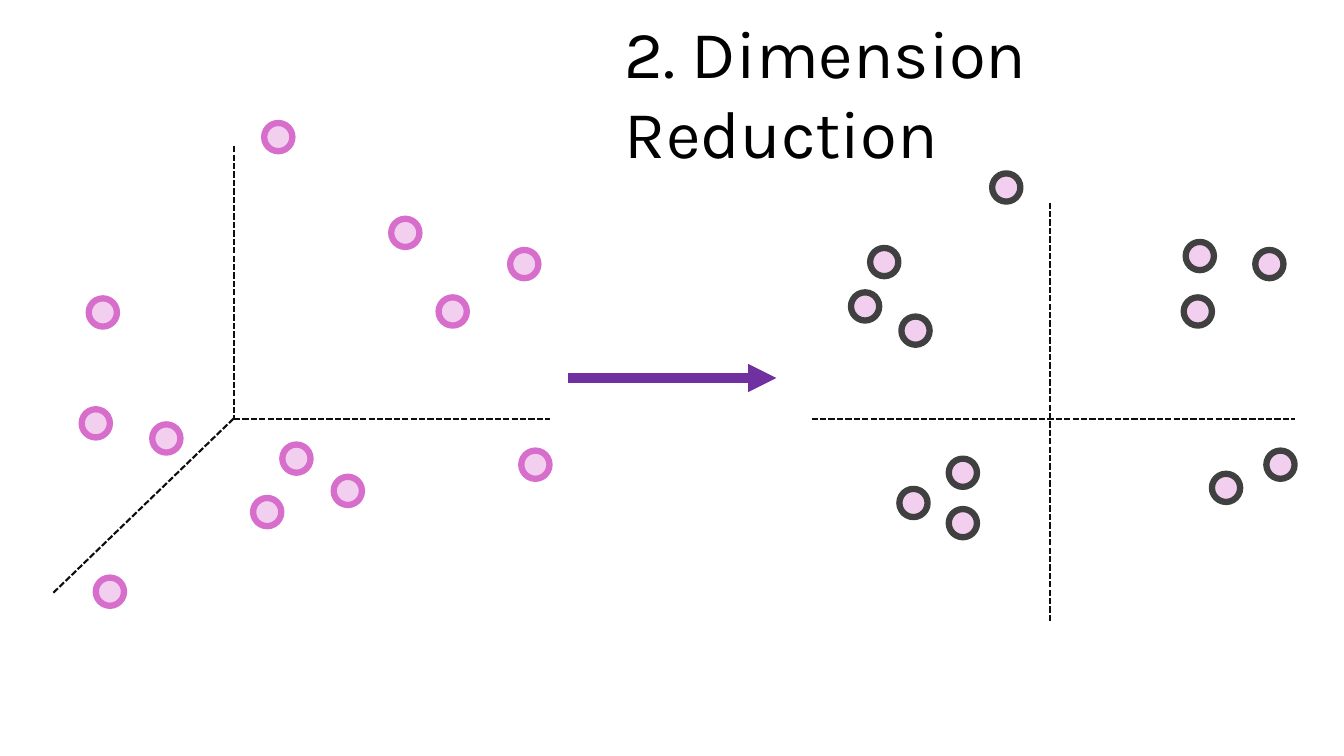
from lxml import etree
from pptx import Presentation
from pptx.dml.color import RGBColor
from pptx.enum.dml import MSO_LINE
from pptx.enum.shapes import MSO_CONNECTOR, MSO_SHAPE
from pptx.enum.text import MSO_AUTO_SIZE
from pptx.oxml.ns import qn
from pptx.util import Inches, Pt

LINE = MSO_CONNECTOR.STRAIGHT
OVAL = MSO_SHAPE.OVAL
DASH = MSO_LINE.SQUARE_DOT
GROW = MSO_AUTO_SIZE.SHAPE_TO_FIT_TEXT

BLACK = RGBColor(0x00, 0x00, 0x00)
INK = RGBColor(0x0D, 0x0D, 0x0D)
GRAY = RGBColor(0x40, 0x40, 0x40)
PINK = RGBColor(0xF2, 0xCF, 0xEE)
ROSE = RGBColor(0xD8, 0x6E, 0xCC)
PURPLE = RGBColor(0x70, 0x30, 0xA0)

CELL = Inches(0.1)
DOT = 2.8

SPACE_AXES = [
    ((23.2, 14.5), (23.2, 41.6)),
    ((23.2, 41.6), (54.5, 41.6)),
    ((5.3, 58.8), (23.3, 41.4)),
]
SPACE_DOTS = [
    (40.2, 23.1), (44.9, 30.9), (52, 26.2),
    (10.2, 31), (9.5, 42), (16.5, 43.5),
    (26.5, 50.8), (29.4, 45.5), (34.5, 48.7),
    (27.6, 13.6), (53.1, 46.1), (10.9, 58.7),
]
PLANE_AXES = [
    ((80.5, 41.6), (128.4, 41.6)),
    ((104.1, 20.1), (104.1, 61.6)),
]
PLANE_DOTS = [
    (119, 25.4), (118.8, 30.9), (125.9, 26.2),
    (87.7, 26), (85.8, 30.4), (90.8, 32.8),
    (95.5, 51.9), (95.5, 46.9), (121.6, 48.4),
    (99.8, 18.6), (127, 46.1), (90.6, 49.9),
]


def grid(*cells):
    return [round(n * CELL) for n in cells]


def add_line(shapes, start, end, color, width):
    line = shapes.add_connector(LINE, *grid(*start, *end))
    line.line.color.rgb = color
    line.line.width = Pt(width)
    etree.SubElement(line._element.spPr, qn("a:effectLst"))
    return line


def add_arrow(shapes, start, end):
    arrow = add_line(shapes, start, end, PURPLE, 6.75)
    tail = etree.SubElement(arrow.line._get_or_add_ln(), qn("a:tailEnd"))
    tail.set("type", "triangle")


def add_dot(shapes, x, y, color):
    dot = shapes.add_shape(OVAL, *grid(x - DOT / 2, y - DOT / 2, DOT, DOT))
    dot.shadow.inherit = False
    dot.fill.solid()
    dot.fill.fore_color.rgb = PINK
    dot.line.color.rgb = color
    dot.line.width = Pt(4.5)


def add_plot(shapes, axes, dots, color):
    plot = shapes.add_group_shape().shapes
    for start, end in axes:
        add_line(plot, start, end, INK, 1.5).line.dash_style = DASH
    for x, y in dots:
        add_dot(plot, x, y, color)


def add_title(shapes, text, *place):
    frame = shapes.add_textbox(*grid(*place)).text_frame
    frame.word_wrap = True
    frame.auto_size = GROW
    frame.text = text
    font = frame.paragraphs[0].runs[0].font
    font.name = "Karla"
    font.size = Pt(48)
    font.color.rgb = BLACK


def main():
    deck = Presentation()
    deck.slide_width = Inches(13.33)
    deck.slide_height = Inches(7.5)
    shapes = deck.slides.add_slide(deck.slide_layouts[6]).shapes
    add_arrow(shapes, (56.3, 37.5), (77, 37.5))
    add_plot(shapes, SPACE_AXES, SPACE_DOTS, ROSE)
    add_plot(shapes, PLANE_AXES, PLANE_DOTS, GRAY)
    add_title(shapes, "2. Dimension Reduction", 61, 0.6, 71.8, 9.1)
    deck.save("out.pptx")


if __name__ == "__main__":
    main()
